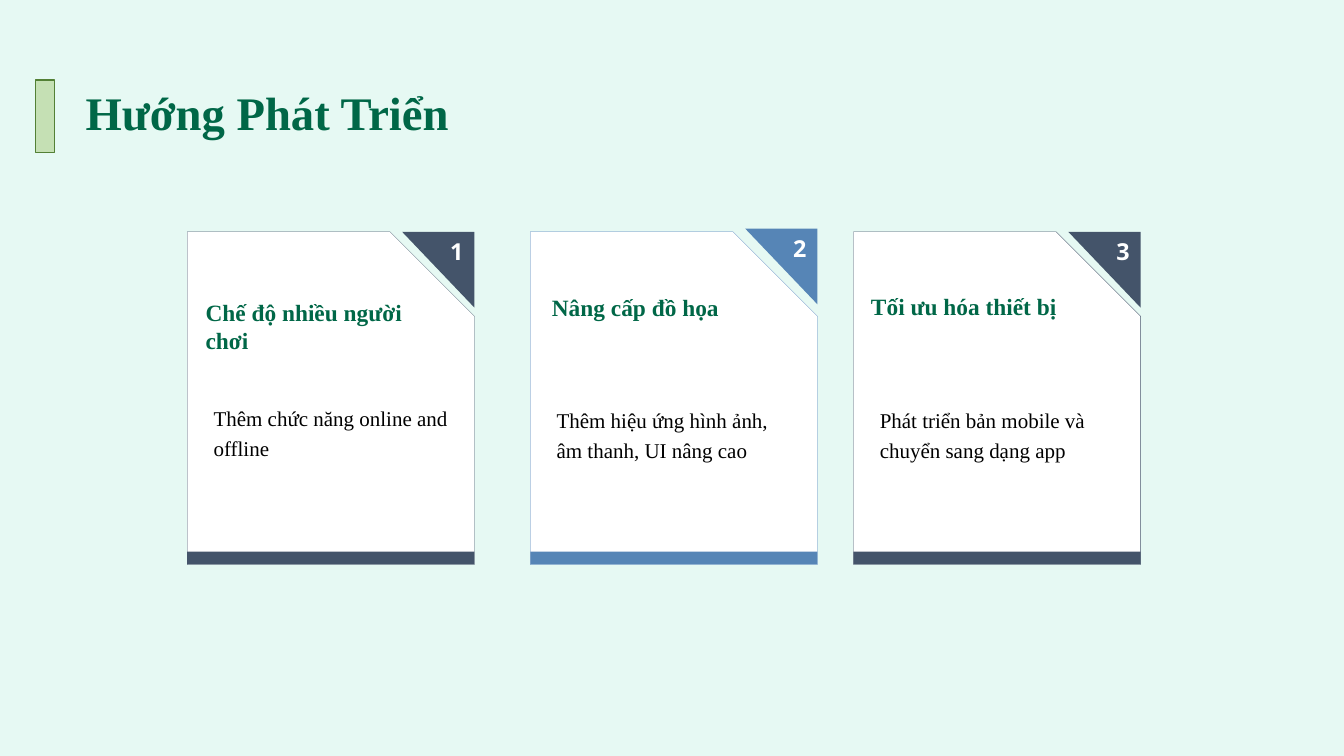
import pptx
import pptx.util
import pptx.dml.color
import pptx.enum.shapes
import pptx.enum.text
from dataclasses import dataclass

Pt = pptx.util.Pt
Rgb = pptx.dml.color.RGBColor.from_string
Shape = pptx.enum.shapes.MSO_SHAPE
Align = pptx.enum.text.PP_ALIGN


@dataclass(frozen=True)
class Theme:
    back: str = "E6F9F3"
    white: str = "FFFFFF"
    black: str = "000000"
    green: str = "006747"
    pale: str = "C5E0B4"
    edge: str = "538035"
    navy: str = "44546A"
    blue: str = "5685B6"
    trim: str = "4F7FBD"
    serif: str = "Times New Roman"
    sans: str = "Noto Sans"
    title: int = 40
    head: int = 20
    body: int = 18


theme = Theme()


def write(shape, text, size, color, font=theme.serif, bold=False,
          align=Align.LEFT, space=1.0, inset=(7.2, 3.6)):
    frame = shape.text_frame
    frame.word_wrap = True
    frame.auto_size = pptx.enum.text.MSO_AUTO_SIZE.NONE
    frame.vertical_anchor = pptx.enum.text.MSO_ANCHOR.TOP
    frame.margin_left = frame.margin_right = Pt(inset[0])
    frame.margin_top = frame.margin_bottom = Pt(inset[1])
    frame.text = text
    para = frame.paragraphs[0]
    para.alignment = align
    para.line_spacing = space
    para.font.name = font
    para.font.size = Pt(size)
    para.font.bold = bold
    para.font.color.rgb = Rgb(color)


def paint(shape, fill, line=None, width=0.25):
    shape.shadow.inherit = False
    shape.fill.solid()
    shape.fill.fore_color.rgb = Rgb(fill)
    if line:
        shape.line.color.rgb = Rgb(line)
        shape.line.width = Pt(width)
    else:
        shape.line.fill.background()


def place(shapes, kind, *box):
    return shapes.add_shape(kind, *map(Pt, box))


def label(shapes, box, text, **form):
    write(shapes.add_textbox(*map(Pt, box)), text, **form)


def header(slide, text, left, top, width, height):
    bar = place(slide.shapes, Shape.RECTANGLE, left, top, 16.5, height)
    paint(bar, theme.pale, theme.edge, 1)
    title = slide.shapes.title
    title.left, title.top = Pt(left + 36), Pt(top)
    title.width, title.height = Pt(width - 36), Pt(55.5)
    write(title, text, size=theme.title, color=theme.green, bold=True)


def flap(shapes, right, top, number, color):
    build = shapes.build_freeform(Pt(right), Pt(top))
    build.add_line_segments(
        [(Pt(right - 62), Pt(top)), (Pt(right), Pt(top + 65))], close=True)
    corner = build.convert_to_shape()
    paint(corner, color)
    write(corner, number, size=theme.head, color=theme.white, font=theme.sans,
          bold=True, align=Align.RIGHT, inset=(9.4, 5))


def card(slide, number, item, left, top, width, height):
    shapes = slide.shapes.add_group_shape().shapes
    sheet = place(shapes, Shape.SNIP_1_RECTANGLE, left, top, width, height)
    sheet.adjustments[0] = 0.294
    paint(sheet, theme.white, item["line"])
    foot = place(shapes, Shape.RECTANGLE, left, top + height - 11, width, 11)
    paint(foot, item["fill"])
    flap(shapes, left + width, top - item["lift"], str(number), item["fill"])
    right, down = item["shift"]
    label(shapes, (left + right, top + down, 216, 52), item["head"],
          size=theme.head, color=theme.green, bold=True)
    label(shapes, (left + 15.5, top + item["drop"], 216, 110), item["body"],
          size=theme.body, color=theme.black, space=1.2)


def main():
    deck = pptx.Presentation()
    deck.slide_width, deck.slide_height = Pt(1152), Pt(648)
    slide = deck.slides.add_slide(deck.slide_layouts[5])
    slide.background.fill.solid()
    slide.background.fill.fore_color.rgb = Rgb(theme.back)
    header(slide, "Hướng Phát Triển", 30.2, 68.5, 432, 62)
    items = [
        dict(left=160.5, head="Chế độ nhiều người chơi",
             body="Thêm chức năng online and offline",
             fill=theme.navy, line=theme.navy, lift=0, shift=(8.6, 53.3), drop=141),
        dict(left=454.5, head="Nâng cấp đồ họa",
             body="Thêm hiệu ứng hình ảnh, âm thanh, UI nâng cao",
             fill=theme.blue, line=theme.trim, lift=2.8, shift=(11.5, 49), drop=142.6),
        dict(left=731.5, head="Tối ưu hóa thiết bị",
             body="Phát triển bản mobile và chuyển sang dạng app",
             fill=theme.navy, line=theme.navy, lift=0, shift=(8, 48.2), drop=142.6),
    ]
    for number, item in enumerate(items, 1):
        card(slide, number, item, item["left"], 198.7, 246.2, 285.1)
    deck.save("out.pptx")


if __name__ == "__main__":
    main()
